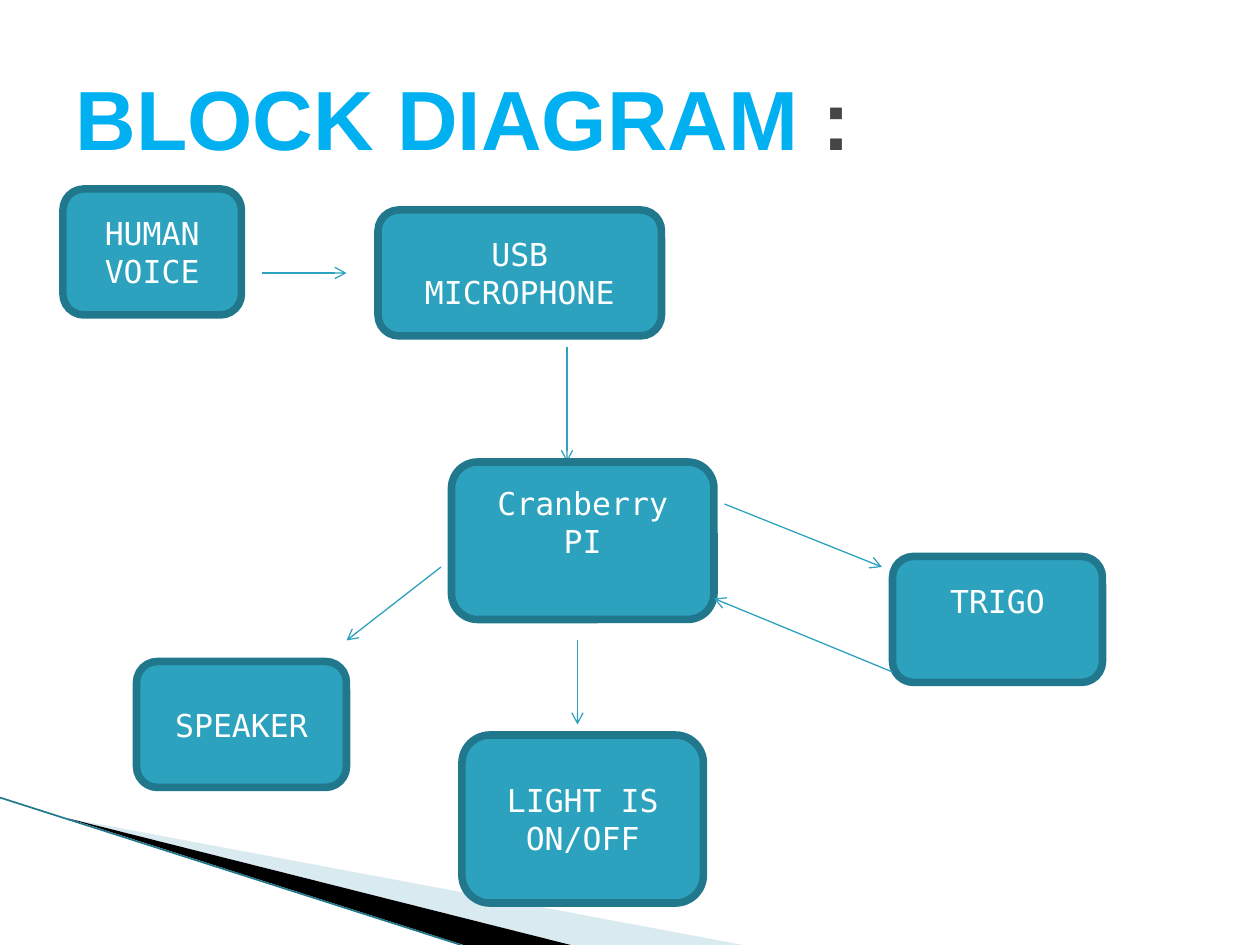
from lxml.etree import SubElement
from pptx import Presentation
from pptx.dml.color import RGBColor
from pptx.enum.shapes import MSO_CONNECTOR as Connector, MSO_SHAPE as Shape
from pptx.enum.text import MSO_ANCHOR as Anchor, PP_ALIGN as Align
from pptx.oxml.ns import qn
from pptx.util import Inches, Pt

UNIT = Inches(1) // 12
COLUMNS, ROWS = 120, 90
SLIDE_BOX = (0, 0, COLUMNS, ROWS)
LINE_HEIGHT = Inches(0.3)
TEAL = RGBColor(0x2D, 0xA2, 0xBF)
DARK_TEAL = RGBColor(0x21, 0x78, 0x8D)
PALE_BLUE = RGBColor(0xA0, 0xCB, 0xDC)
SKY = RGBColor(0x00, 0xB0, 0xF0)
GREY = RGBColor(0x46, 0x46, 0x46)
BLACK = RGBColor(0, 0, 0)
WHITE = RGBColor(255, 255, 255)


def grid(*values):
    return [round(value * UNIT) for value in values]


def add_text(paragraph, text, font="DejaVu Sans Mono", size=18, color=WHITE, bold=False):
    run = paragraph.add_run()
    run.text = text
    run.font.name = font
    run.font.size = Pt(size)
    run.font.bold = bold
    run.font.color.rgb = color


def add_title(slide, box):
    title = slide.shapes.title
    title.left, title.top, title.width, title.height = grid(*box)
    frame = title.text_frame
    frame.vertical_anchor = Anchor.MIDDLE
    heading = frame.paragraphs[0]
    heading.alignment = Align.LEFT
    for text, color in (("BLOCK DIAGRAM ", SKY), (":", GREY)):
        add_text(heading, text, font="Arial", size=48, color=color, bold=True)


def add_line(slide, start, end, color, width, arrow=False):
    line = slide.shapes.add_connector(Connector.STRAIGHT, *grid(*start, *end))
    line.line.color.rgb = color
    line.line.width = Pt(width)
    if arrow:
        SubElement(line.line._get_or_add_ln(), qn("a:tailEnd"), type="arrow")
    SubElement(line._element.spPr, qn("a:effectLst"))


def add_wedge(slide, points, color, opacity=100):
    first, *rest = [grid(*point) for point in points]
    builder = slide.shapes.build_freeform(*first)
    builder.add_line_segments(rest, close=True)
    wedge = builder.convert_to_shape()
    wedge.shadow.inherit = False
    wedge.line.fill.background()
    wedge.fill.solid()
    wedge.fill.fore_color.rgb = color
    if opacity < 100:
        tint = wedge._element.spPr.find(qn("a:solidFill"))[0]
        SubElement(tint, qn("a:alpha"), val=str(opacity * 1000))


def add_corner(slide, box):
    left, top, width, height = box

    def place(x, y):
        return left + x * width, top + y * height

    tip = place(0.054, 0.866)
    add_wedge(slide, [tip, place(0.59, 1), place(0.453, 1)], PALE_BLUE, opacity=40)
    add_wedge(slide, [tip, place(0.453, 1), place(0.368, 1)], BLACK)
    add_line(slide, place(0, 0.844), place(0.366, 1), DARK_TEAL, 0.95)


def add_block(slide, box, lines, lift=0):
    block = slide.shapes.add_shape(Shape.ROUNDED_RECTANGLE, *grid(*box))
    block.shadow.inherit = False
    block.fill.solid()
    block.fill.fore_color.rgb = TEAL
    block.line.color.rgb = DARK_TEAL
    block.line.width = Pt(4.33)
    frame = block.text_frame
    frame.word_wrap = True
    frame.vertical_anchor = Anchor.MIDDLE
    frame.margin_bottom += lift
    for index, text in enumerate(lines):
        paragraph = frame.add_paragraph() if index else frame.paragraphs[0]
        paragraph.alignment = Align.CENTER
        add_text(paragraph, text)


def add_diagram(slide, box):
    left, top = box[:2]

    def block(x, y, width, height, *lines, lift=0):
        add_block(slide, (left + x, top + y, width, height), lines, lift)

    def arrow(x1, y1, x2, y2):
        add_line(slide, (left + x1, top + y1), (left + x2, top + y2), TEAL, 0.75, arrow=True)

    block(6, 18, 17, 12, "HUMAN VOICE")
    arrow(25, 26, 33, 26)
    block(36, 20, 27, 12, "USB", "MICROPHONE")
    arrow(54, 33, 54, 44)
    block(43, 44, 25, 15, "Cranberry", "PI", lift=LINE_HEIGHT)
    arrow(42, 54, 33, 61)
    block(13, 63, 20, 12, "SPEAKER")
    arrow(69, 48, 84, 54)
    block(85, 53, 20, 12, "TRIGO", lift=LINE_HEIGHT)
    arrow(85, 64, 68, 57)
    arrow(55, 61, 55, 69)
    block(44, 70, 23, 16, "LIGHT IS", "ON/OFF")


def main():
    deck = Presentation()
    deck.slide_width, deck.slide_height = grid(COLUMNS, ROWS)
    slide = deck.slides.add_slide(deck.slide_layouts[5])
    add_corner(slide, SLIDE_BOX)
    add_title(slide, (6, 3.6, 108, 15))
    add_diagram(slide, SLIDE_BOX)
    deck.save("out.pptx")


if __name__ == "__main__":
    main()
